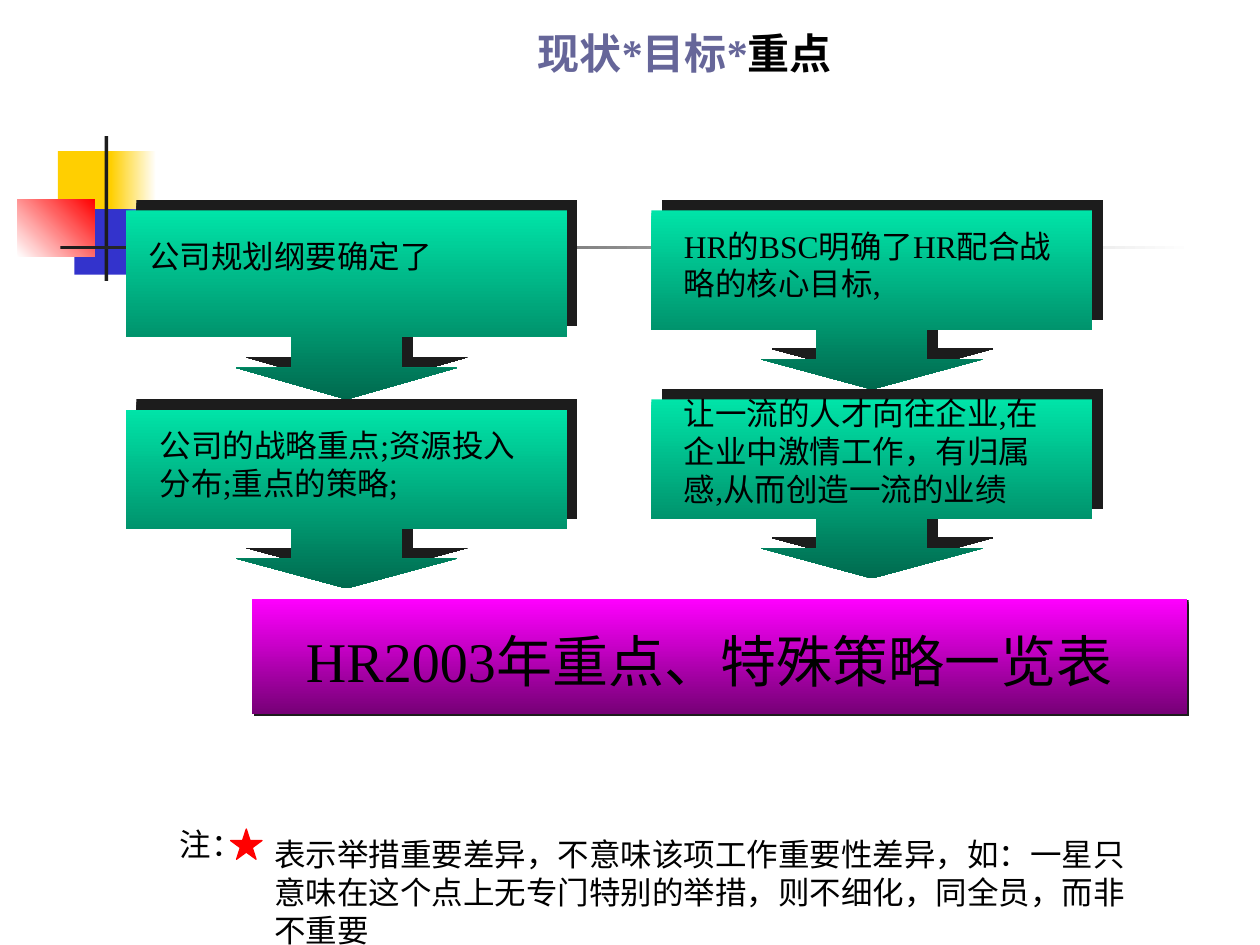
from dataclasses import dataclass

from lxml.etree import SubElement
from pptx import Presentation
from pptx.dml.color import RGBColor
from pptx.enum.shapes import MSO_SHAPE
from pptx.enum.text import MSO_ANCHOR, MSO_AUTO_SIZE, PP_ALIGN
from pptx.oxml.ns import qn
from pptx.util import Inches, Pt


@dataclass(frozen=True)
class Theme:
    """Colours, type sizes and font of the slide."""
    font: str = "Times New Roman"
    title_size: int = 24
    body_size: int = 18
    banner_size: int = 32
    ink: str = "000000"
    muted: str = "666699"
    dark: str = "1C1C1C"
    white: str = "FFFFFF"
    yellow: str = "FFCF01"
    blue: str = "3333CC"
    red: str = "FF0000"
    step: tuple = ("00E4A8", "006A4E")
    banner: tuple = ("FF00FF", "760076")


@dataclass(frozen=True)
class Box:
    """A region in inches."""
    left: float
    top: float
    width: float
    height: float

    def inner(self, dx, dy, width, height):
        """Return a box offset from this one's top left corner."""
        return Box(self.left + dx, self.top + dy, width, height)

    def lengths(self):
        """Return left, top, width and height as lengths."""
        return [Inches(n) for n in (self.left, self.top, self.width, self.height)]


THEME = Theme()
DOWNWARD, RIGHTWARD, UP_RIGHT = 270, 0, 45


def add_text(slide, box, text, size=THEME.body_size, color=THEME.ink, bold=False,
             anchor=MSO_ANCHOR.TOP, grow=True):
    """Place one wrapped paragraph; text may be a list of (text, colour) runs."""
    frame = slide.shapes.add_textbox(*box.lengths()).text_frame
    frame.word_wrap = True
    frame.vertical_anchor = anchor
    frame.auto_size = MSO_AUTO_SIZE.SHAPE_TO_FIT_TEXT if grow else MSO_AUTO_SIZE.NONE
    paragraph = frame.paragraphs[0]
    paragraph.alignment = PP_ALIGN.LEFT
    runs = [(text, color)] if isinstance(text, str) else text
    for run_text, run_color in runs:
        run = paragraph.add_run()
        run.text = run_text
        run.font.name = THEME.font
        run.font.size = Pt(size)
        run.font.bold = bold
        run.font.color.rgb = RGBColor.from_string(run_color)


def add_block(slide, box, fill, kind=MSO_SHAPE.RECTANGLE, angle=DOWNWARD):
    """Place an outline-free shape with a solid fill or a pair of gradient colours."""
    block = slide.shapes.add_shape(kind, *box.lengths())
    block.shadow.inherit = False
    block.line.fill.background()
    if isinstance(fill, str):
        block.fill.solid()
        block.fill.fore_color.rgb = RGBColor.from_string(fill)
    else:
        block.fill.gradient()
        block.fill.gradient_angle = angle
        for stop, position, color in zip(block.fill.gradient_stops, (0, 1), fill):
            stop.position = position
            stop.color.rgb = RGBColor.from_string(color)
    return block


def cast_shadow(block, distance, direction):
    """Give a block a hard offset shadow."""
    effects = block._element.spPr.find(qn("a:effectLst"))
    shadow = SubElement(effects, qn("a:outerShdw"), blurRad="0", dist=str(Pt(distance)),
                        dir=str(direction * 60000), algn="ctr", rotWithShape="0")
    SubElement(shadow, qn("a:srgbClr"), val=THEME.dark)


def add_emblem(slide, box):
    """Draw the coloured squares, the crossing bars and the fading rule."""
    parts = [
        ((0.32, 0.12, 0.48, 0.52), THEME.yellow, None),
        ((0.74, 0.12, 0.36, 0.52), (THEME.yellow, THEME.white), RIGHTWARD),
        ((0.45, 0.58, 0.46, 0.52), THEME.blue, None),
        ((0.86, 0.58, 0.4, 0.52), (THEME.blue, THEME.white), RIGHTWARD),
        ((0, 0.5, 0.61, 0.46), (THEME.white, THEME.red), UP_RIGHT),
        ((0.69, 0, 0.03, 1.15), THEME.dark, None),
        ((0.34, 0.87, box.width - 0.34, 0.03), (THEME.dark, THEME.white), RIGHTWARD),
    ]
    for place, fill, angle in parts:
        add_block(slide, box.inner(*place), fill, angle=angle)


def add_title(slide, box):
    """Write the heading with its last word highlighted."""
    add_text(slide, box, [("现状*目标*", THEME.muted), ("重点", THEME.ink)],
             size=THEME.title_size, bold=True, anchor=MSO_ANCHOR.MIDDLE, grow=False)


def add_step_column(slide, box, steps, gap=0.08):
    """Stack arrow callouts, each given as height, text place and wording."""
    offset = 0
    for height, text_place, wording in steps:
        step_box = box.inner(0, offset, box.width, height)
        callout = add_block(slide, step_box, THEME.step, MSO_SHAPE.DOWN_ARROW_CALLOUT)
        shaft = box.width / 4 / height
        for index, value in enumerate((shaft, shaft, 1 / 6, 2 / 3)):
            callout.adjustments[index] = value
        cast_shadow(callout, 8.5, 315)
        add_text(slide, step_box.inner(*text_place), wording)
        offset += height + gap


def add_banner(slide, box):
    """Draw the concluding banner."""
    cast_shadow(add_block(slide, box, THEME.banner), 1.4, 45)
    add_text(slide, box.inner(0.33, 0.17, 6.92, 0.64), "HR2003年重点、特殊策略一览表",
             size=THEME.banner_size)


def add_footnote(slide, box):
    """Write the note that explains the star."""
    add_text(slide, box.inner(0, 0, 3.33, 0.4), "注：")
    star = add_block(slide, box.inner(0.5, 0.08, 0.25, 0.24), THEME.red,
                     MSO_SHAPE.STAR_5_POINT)
    star.line.color.rgb = RGBColor.from_string(THEME.red)
    star.line.width = Pt(0.75)
    add_text(slide, box.inner(0.75, 0.08, box.width - 0.75, 1),
             "表示举措重要差异，不意味该项工作重要性差异，如：一星只意味在这个点上"
             "无专门特别的举措，则不细化，同全员，而非不重要")


def main():
    """Build and save the slide."""
    deck = Presentation()
    deck.slide_width, deck.slide_height = Inches(10), Inches(7.5)
    slide = deck.slides.add_slide(deck.slide_layouts[6])
    add_emblem(slide, Box(0.14, 1.08, 9.34, 1.15))
    add_title(slide, Box(4.17, 0, 6.75, 0.83))
    add_step_column(slide, Box(1, 1.67, 3.5, 3), [
        (1.5, (0.08, 0.16, 3.25, 0.4), "公司规划纲要确定了"),
        (1.42, (0.17, 0.08, 3.17, 0.7), "公司的战略重点;资源投入分布;重点的策略;"),
    ])
    add_step_column(slide, Box(5.17, 1.67, 3.5, 2.92), [
        (1.42, (0.16, 0.08, 3.17, 0.7), "HR的BSC明确了HR配合战略的核心目标,"),
        (1.42, (0.16, -0.09, 3.17, 1),
         "让一流的人才向往企业,在企业中激情工作，有归属感,从而创造一流的业绩"),
    ])
    add_banner(slide, Box(2, 4.75, 7.42, 0.92))
    add_footnote(slide, Box(1.33, 6.5, 7.83, 1.08))
    deck.save("out.pptx")


if __name__ == "__main__":
    main()
